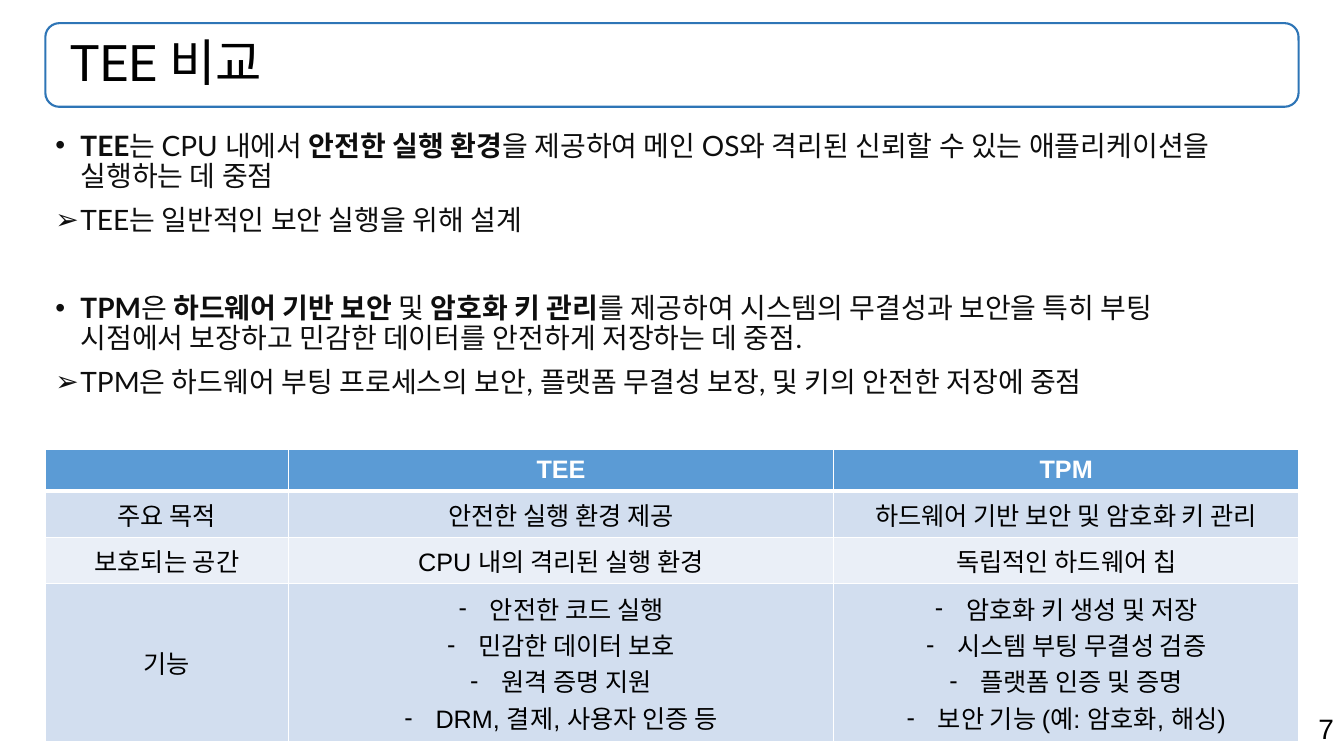
"""Build the slide that compares TEE and TPM."""
from lxml.etree import SubElement
from pptx import Presentation
from pptx.dml.color import RGBColor
from pptx.enum.shapes import MSO_SHAPE
from pptx.enum.text import MSO_ANCHOR, MSO_AUTO_SIZE, PP_ALIGN
from pptx.oxml import parse_xml
from pptx.oxml.ns import nsdecls, qn
from pptx.util import Inches, Pt

TITLE = "TEE 비교"
PAGE = "7"
POINTS = [
    ("•", 0, [("TEE", True), ("는 CPU 내에서 ", False), ("안전한 실행 환경", True),
              ("을 제공하여 메인 OS와 격리된 신뢰할 수 있는 애플리케이션을 실행하는 데 중점", False)]),
    ("➢", 10, [("TEE는 일반적인 보안 실행을 위해 설계", False)]),
    ("•", 41, [("TPM", True), ("은 ", False), ("하드웨어 기반 보안", True), (" 및 ", False),
               ("암호화 키 관리", True),
               ("를 제공하여 시스템의 무결성과 보안을 특히 부팅 시점에서 보장하고 "
                "민감한 데이터를 안전하게 저장하는 데 중점.", False)]),
    ("➢", 10, [("TPM은 하드웨어 부팅 프로세스의 보안, 플랫폼 무결성 보장, "
                "및 키의 안전한 저장에 중점", False)]),
]
ROWS = [
    ["", "TEE", "TPM"],
    ["주요 목적", "안전한 실행 환경 제공", "하드웨어 기반 보안 및 암호화 키 관리"],
    ["보호되는 공간", "CPU 내의 격리된 실행 환경", "독립적인 하드웨어 칩"],
    ["기능",
     ["안전한 코드 실행", "민감한 데이터 보호", "원격 증명 지원", "DRM, 결제, 사용자 인증 등"],
     ["암호화 키 생성 및 저장", "시스템 부팅 무결성 검증", "플랫폼 인증 및 증명",
      "보안 기능 (예: 암호화, 해싱)"]],
]
WIDTHS = [2.41, 5.41, 4.61]
HEIGHTS = [0.41, 0.46, 0.46, 1.57]
COLORS = {"frame": "2E75B6", "head": "5B9BD5", "odd": "D2DEEF", "even": "EAEFF7",
          "white": "FFFFFF", "black": "000000", "body": "0E0E0E"}
LEFT, WIDE = 0.45, 12.43


def color(name):
    return RGBColor.from_string(COLORS[name])


def box(left, top, width, height):
    return [Inches(n) for n in (left, top, width, height)]


def style(run, face, size, tint, bold=False):
    font = run.font
    font.name, font.size, font.bold = face, Pt(size), bold
    font.color.rgb = color(tint)


def bullet(para, char, indent):
    props = para._p.get_or_add_pPr()
    props.set("marL", str(Inches(indent)))
    props.set("indent", str(-Inches(indent)))
    SubElement(props, qn("a:buFont")).set("typeface", "Arial")
    SubElement(props, qn("a:buChar")).set("char", char)


def border(cell, row):
    props = cell._tc.get_or_add_tcPr()
    thick = {"T": row == 1, "B": row == 0}
    for spot, side in enumerate("LRTB"):
        width = Pt(3 if thick.get(side) else 1)
        props.insert(spot, parse_xml(
            f'<a:ln{side} {nsdecls("a")} w="{width}"><a:solidFill>'
            f'<a:srgbClr val="{COLORS["white"]}"/></a:solidFill></a:ln{side}>'))


def add_title(slide):
    title = slide.shapes.title
    title.left, title.top, title.width, title.height = box(LEFT, 0.23, WIDE, 0.83)
    frame = title.text_frame
    frame.text = TITLE
    frame.auto_size = MSO_AUTO_SIZE.NONE
    frame.vertical_anchor = MSO_ANCHOR.MIDDLE
    frame.margin_left = Inches(0.24)
    para = frame.paragraphs[0]
    para.alignment, para.line_spacing = PP_ALIGN.LEFT, 0.9
    style(para.runs[0], "Roboto", 36, "black")
    edge = slide.shapes.add_shape(MSO_SHAPE.ROUNDED_RECTANGLE, *box(LEFT, 0.23, WIDE, 0.83))
    edge.shadow.inherit = False
    edge.fill.background()
    edge.line.color.rgb = color("frame")
    edge.line.width = Pt(1.5)


def add_points(slide):
    frame = slide.shapes.add_textbox(*box(LEFT, 1.26, WIDE, 3.1)).text_frame
    frame.word_wrap = True
    frame.margin_right = Inches(0.4)
    for i, (char, gap, parts) in enumerate(POINTS):
        para = frame.add_paragraph() if i else frame.paragraphs[0]
        para.line_spacing, para.space_before = 0.9, Pt(gap)
        bullet(para, char, 0.25)
        for text, bold in parts:
            run = para.add_run()
            run.text = text
            style(run, "Lato", 20, "body", bold)


def add_grid(slide):
    area = box(LEFT, 4.46, sum(WIDTHS), sum(HEIGHTS))
    table = slide.shapes.add_table(len(ROWS), len(WIDTHS), *area).table
    for col, width in zip(table.columns, WIDTHS):
        col.width = Inches(width)
    for r, items in enumerate(ROWS):
        table.rows[r].height = Inches(HEIGHTS[r])
        for c, item in enumerate(items):
            cell = table.cell(r, c)
            listed = isinstance(item, list)
            cell.text_frame.text = "\n".join(item) if listed else item
            cell.vertical_anchor = MSO_ANCHOR.MIDDLE
            cell.fill.solid()
            cell.fill.fore_color.rgb = color("odd" if r % 2 else "even" if r else "head")
            border(cell, r)
            for para in cell.text_frame.paragraphs:
                para.alignment = PP_ALIGN.CENTER
                if listed:
                    bullet(para, "-", 0.31)
                for run in para.runs:
                    style(run, "Arial", 18, "black" if r else "white", r == 0)


def add_page(slide):
    frame = slide.shapes.add_textbox(*box(9.43, 7.01, 3.9, 0.44)).text_frame
    frame.word_wrap = True
    frame.text = PAGE
    para = frame.paragraphs[0]
    para.alignment = PP_ALIGN.RIGHT
    style(para.runs[0], "Arial", 20, "black")


def main():
    deck = Presentation()
    deck.slide_width, deck.slide_height = Inches(13.33), Inches(7.5)
    slide = deck.slides.add_slide(deck.slide_layouts[5])
    add_page(slide)
    add_title(slide)
    add_points(slide)
    add_grid(slide)
    deck.save("out.pptx")


if __name__ == "__main__":
    main()
